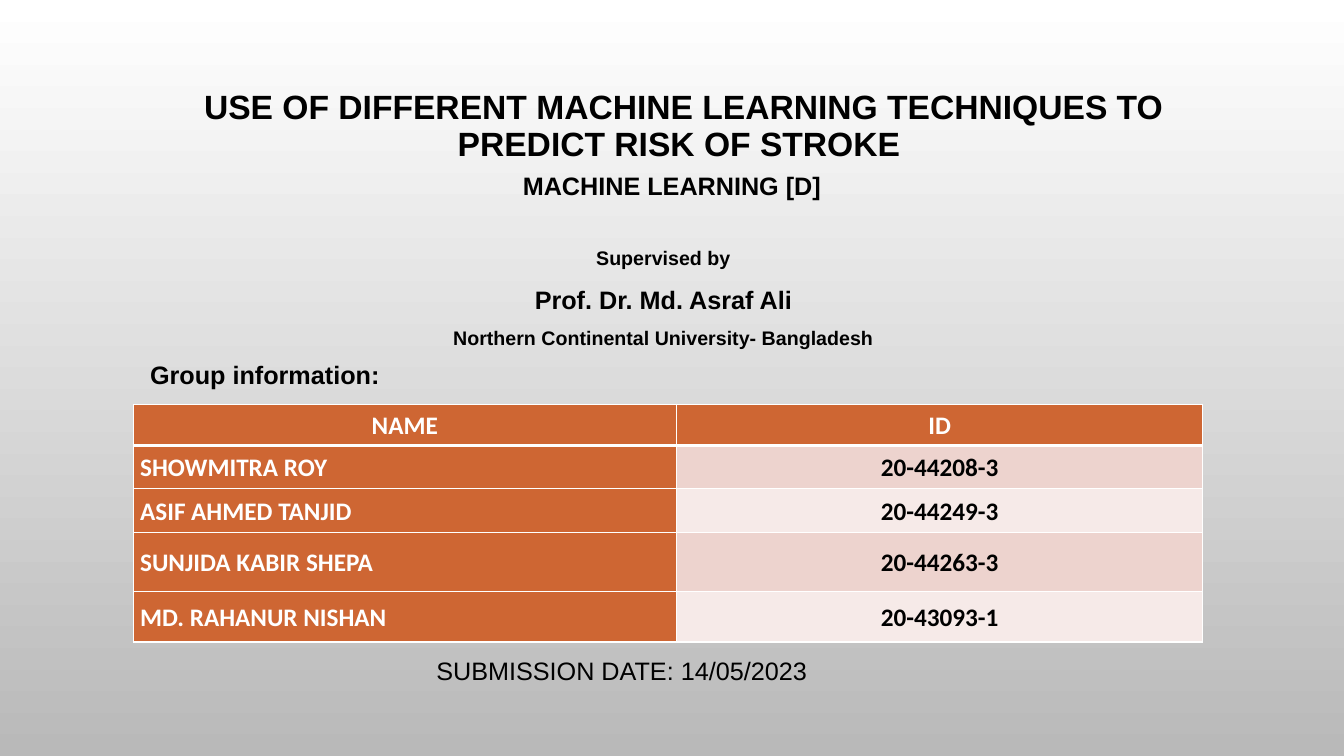
from lxml import etree
from pptx import Presentation
from pptx.dml.color import RGBColor
from pptx.enum import text as t
from pptx.oxml import ns
from pptx.util import Inches, Pt

COLORS = {"top": "FFFFFF", "bottom": "B9B9B9", "ink": "000000", "white": "FFFFFF",
          "accent": "CE6633", "odd": "EDD3CE", "even": "F6EAE8"}
CENTER, LEFT = t.PP_ALIGN.CENTER, t.PP_ALIGN.LEFT

# box (left, top, width, height), alignment, line spacing, anchor, [(text, size, bold)]
TEXTS = [
    ((1.32, 0.74, 10.92, 0.93), CENTER, 0.9, t.MSO_ANCHOR.BOTTOM,
     [("USE OF DIFFERENT MACHINE LEARNING TECHNIQUES TO PREDICT RISK OF STROKE ", 24, True)]),
    ((3.33, 1.64, 6.67, 0.4), CENTER, 1.0, t.MSO_ANCHOR.TOP,
     [("MACHINE LEARNING [D]", 18, True)]),
    ((3.23, 2.27, 6.7, 1.22), CENTER, 1.5, t.MSO_ANCHOR.TOP,
     [("Supervised by", 14, True),
      ("Prof. Dr. Md. Asraf Ali", 18, True),
      ("Northern Continental University- Bangladesh", 14, True)]),
    ((1.39, 3.52, 6.62, 0.4), LEFT, 1.0, t.MSO_ANCHOR.TOP,
     [("Group information:", 18, True)]),
    ((4.23, 6.45, 5.06, 0.4), LEFT, 1.0, t.MSO_ANCHOR.TOP,
     [("SUBMISSION DATE: 14/05/2023", 18, False)]),
]

MEMBERS = [
    ("NAME", "ID"),
    ("SHOWMITRA ROY", "20-44208-3"),
    ("ASIF AHMED TANJID", "20-44249-3"),
    ("SUNJIDA KABIR SHEPA", "20-44263-3"),
    ("MD. RAHANUR NISHAN", "20-43093-1"),
]
TABLE_LEFT, TABLE_TOP = 1.32, 4.01
COLUMN_WIDTHS = [5.39, 5.22]
ROW_HEIGHTS = [0.41, 0.43, 0.43, 0.59, 0.5]


def rgb(name):
    return RGBColor.from_string(COLORS[name])


def write(paragraph, words, size, font, color, bold, align, spacing):
    paragraph.alignment = align
    paragraph.line_spacing = spacing
    run = paragraph.add_run()
    run.text = words
    run.font.size = Pt(size)
    run.font.name = font
    run.font.bold = bold
    run.font.color.rgb = rgb(color)


def add_text(slide, box, align, spacing, anchor, lines):
    frame = slide.shapes.add_textbox(*map(Inches, box)).text_frame
    frame.word_wrap = True
    frame.vertical_anchor = anchor
    for i, (words, size, bold) in enumerate(lines):
        paragraph = frame.add_paragraph() if i else frame.paragraphs[0]
        write(paragraph, words, size, "Arial", "ink", bold, align, spacing)


def set_borders(cell, top, bottom):
    """Draw white borders; top and bottom are widths in points."""
    properties = cell._tc.get_or_add_tcPr()
    widths = {"lnL": 1, "lnR": 1, "lnT": top, "lnB": bottom}
    for place, (side, width) in enumerate(widths.items()):
        line = etree.Element(ns.qn("a:" + side), w=str(Pt(width)))
        fill = etree.SubElement(line, ns.qn("a:solidFill"))
        etree.SubElement(fill, ns.qn("a:srgbClr"), val=COLORS["white"])
        properties.insert(place, line)


def add_members(slide):
    table = slide.shapes.add_table(
        len(MEMBERS), len(COLUMN_WIDTHS), Inches(TABLE_LEFT), Inches(TABLE_TOP),
        Inches(sum(COLUMN_WIDTHS)), Inches(sum(ROW_HEIGHTS))).table
    for column, width in zip(table.columns, COLUMN_WIDTHS):
        column.width = Inches(width)
    for r, (member, height) in enumerate(zip(MEMBERS, ROW_HEIGHTS)):
        table.rows[r].height = Inches(height)
        for c, words in enumerate(member):
            cell = table.cell(r, c)
            heading = r == 0 or c == 0
            cell.margin_left = cell.margin_right = Inches(0.07)
            cell.margin_top = cell.margin_bottom = 0
            cell.vertical_anchor = t.MSO_ANCHOR.MIDDLE
            cell.fill.solid()
            cell.fill.fore_color.rgb = rgb("accent" if heading else "odd" if r % 2 else "even")
            set_borders(cell, top=3 if r == 1 else 1, bottom=3 if r == 0 else 1)
            write(cell.text_frame.paragraphs[0], words, 18, "Calibri",
                  "white" if heading else "ink", True,
                  LEFT if r and c == 0 else CENTER, 1.07)


def main():
    deck = Presentation()
    deck.slide_width, deck.slide_height = Inches(13.33), Inches(7.5)
    slide = deck.slides.add_slide(deck.slide_layouts[6])
    backdrop = slide.background.fill
    backdrop.gradient()
    backdrop.gradient_angle = 270
    for stop, name in zip(backdrop.gradient_stops, ("top", "bottom")):
        stop.color.rgb = rgb(name)
    for text in TEXTS:
        add_text(slide, *text)
    add_members(slide)
    deck.save("out.pptx")


if __name__ == "__main__":
    main()
